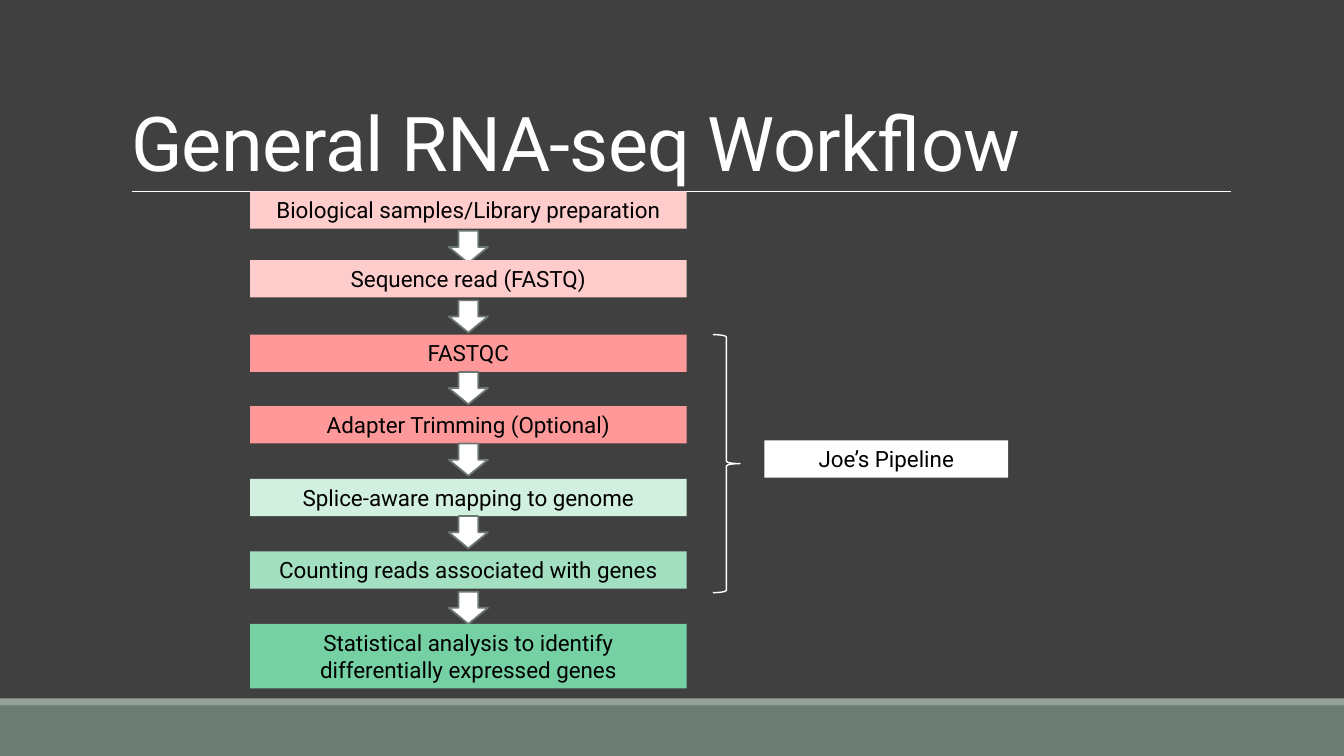
"""Build the General RNA-seq Workflow slide."""
from dataclasses import dataclass

from pptx import Presentation
from pptx import util as u
from pptx.dml.color import RGBColor
from pptx.enum import shapes, text
from pptx.oxml.ns import qn
from lxml import etree

HEADING = "General RNA-seq Workflow"
STEPS = [
    ("Biological samples/Library preparation", "sample", 190, 229),
    ("Sequence read (FASTQ)", "sample", 258, 298),
    ("FASTQC", "quality", 332, 369),
    ("Adapter Trimming (Optional)", "quality", 403, 440),
    ("Splice-aware mapping to genome", "mapping", 475, 512),
    ("Counting reads associated with genes", "counting", 547, 587),
    ("Statistical analysis to identify differentially expressed genes",
     "statistics", 619, None),
]
PIPELINE = "Joe’s Pipeline"

PX = u.Inches(1) // 100
WIDTH, HEIGHT = 1333, 750
STEP_LEFT, STEP_WIDTH = 248, 433
LINE_HEIGHT, PADDING = 27, 10
ARROW_WIDTH, ARROW_HEIGHT = 39, 32
TWO_LINE_LENGTH = 45


@dataclass(frozen=True)
class Theme:
    """Colours, font and type sizes of the slide."""
    background: str = "404040"
    band: str = "6B7D72"
    stripe: str = "93A299"
    light: str = "FFFFFF"
    dark: str = "000000"
    arrow_edge: str = "6D7871"
    sample: str = "FFCCCC"
    quality: str = "FF9999"
    mapping: str = "D1F0E0"
    counting: str = "A3E0C2"
    statistics: str = "75D1A3"
    font: str = "Roboto"
    heading_size: int = 54
    label_size: int = 16


THEME = Theme()


def rgb(colour):
    return RGBColor.from_string(colour)


def add_words(paragraph, words, size, colour):
    run = paragraph.add_run()
    run.text = words
    run.font.name = THEME.font
    run.font.size = u.Pt(size)
    run.font.color.rgb = rgb(colour)
    return run


def add_block(slide, kind, box, fill=None, edge=None, weight=1):
    block = slide.shapes.add_shape(kind, *(side * PX for side in box))
    block.shadow.inherit = False
    if fill:
        block.fill.solid()
        block.fill.fore_color.rgb = rgb(fill)
    else:
        block.fill.background()
    if edge:
        block.line.color.rgb = rgb(edge)
        block.line.width = u.Pt(weight)
    else:
        block.line.fill.background()
    return block


def add_label(slide, words, box, fill):
    frame = add_block(slide, shapes.MSO_SHAPE.RECTANGLE, box, fill).text_frame
    frame.word_wrap = True
    frame.auto_size = text.MSO_AUTO_SIZE.SHAPE_TO_FIT_TEXT
    frame.vertical_anchor = text.MSO_ANCHOR.TOP
    paragraph = frame.paragraphs[0]
    paragraph.alignment = text.PP_ALIGN.CENTER
    add_words(paragraph, words, THEME.label_size, THEME.dark)


def add_backdrop(slide):
    slide.background.fill.solid()
    slide.background.fill.fore_color.rgb = rgb(THEME.background)
    for top, height, colour in ((700, 50, THEME.band), (693, 7, THEME.stripe)):
        add_block(slide, shapes.MSO_SHAPE.RECTANGLE, (0, top, WIDTH, height), colour)
    rule = slide.shapes.add_connector(
        shapes.MSO_CONNECTOR.STRAIGHT, 131 * PX, 190 * PX, 1221 * PX, 190 * PX)
    rule.line.color.rgb = rgb(THEME.light)
    rule.line.width = u.Pt(0.5)
    etree.SubElement(rule._element.spPr, qn("a:effectLst"))


def add_heading(slide):
    heading = slide.shapes.title
    heading.left, heading.top, heading.width, heading.height = (
        side * PX for side in (120, 31, 1100, 159))
    frame = heading.text_frame
    frame.word_wrap = True
    frame.auto_size = text.MSO_AUTO_SIZE.NONE
    frame.vertical_anchor = text.MSO_ANCHOR.BOTTOM
    paragraph = frame.paragraphs[0]
    paragraph.alignment = text.PP_ALIGN.LEFT
    paragraph.line_spacing = 0.85
    run = add_words(paragraph, HEADING, THEME.heading_size, THEME.light)
    run.font._element.set("spc", "-50")


def add_workflow(slide):
    arrow_left = STEP_LEFT + (STEP_WIDTH - ARROW_WIDTH) // 2
    for words, stage, top, arrow_top in STEPS:
        lines = 2 if len(words) > TWO_LINE_LENGTH else 1
        height = lines * LINE_HEIGHT + PADDING
        add_label(slide, words, (STEP_LEFT, top, STEP_WIDTH, height),
                  getattr(THEME, stage))
        if arrow_top is not None:
            add_block(slide, shapes.MSO_SHAPE.DOWN_ARROW,
                      (arrow_left, arrow_top, ARROW_WIDTH, ARROW_HEIGHT),
                      THEME.light, THEME.arrow_edge, 1.25)


def add_pipeline(slide):
    add_block(slide, shapes.MSO_SHAPE.RIGHT_BRACE, (707, 332, 27, 256),
              edge=THEME.light)
    add_label(slide, PIPELINE, (758, 437, 242, LINE_HEIGHT + PADDING), THEME.light)


def main():
    deck = Presentation()
    deck.slide_width, deck.slide_height = WIDTH * PX, HEIGHT * PX
    slide = deck.slides.add_slide(deck.slide_layouts.get_by_name("Title Only"))
    add_backdrop(slide)
    add_heading(slide)
    add_workflow(slide)
    add_pipeline(slide)
    deck.save("out.pptx")


if __name__ == "__main__":
    main()
